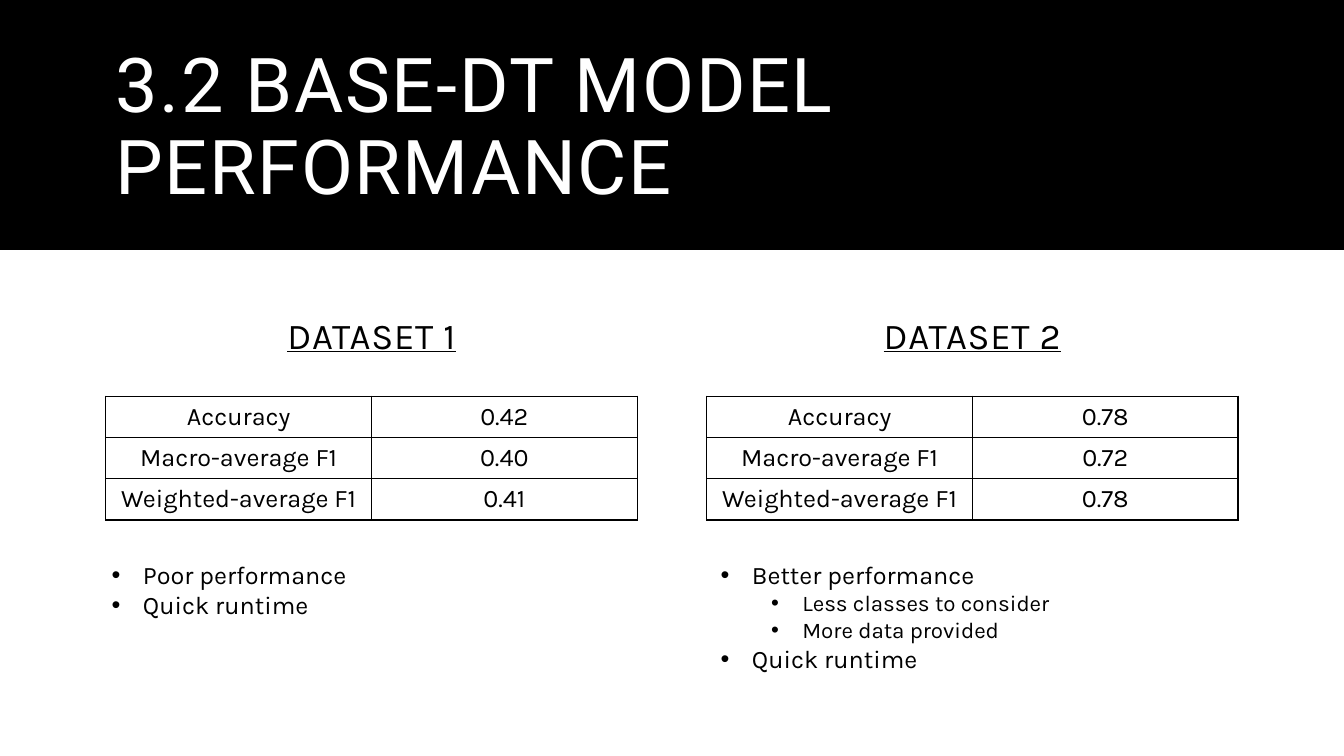
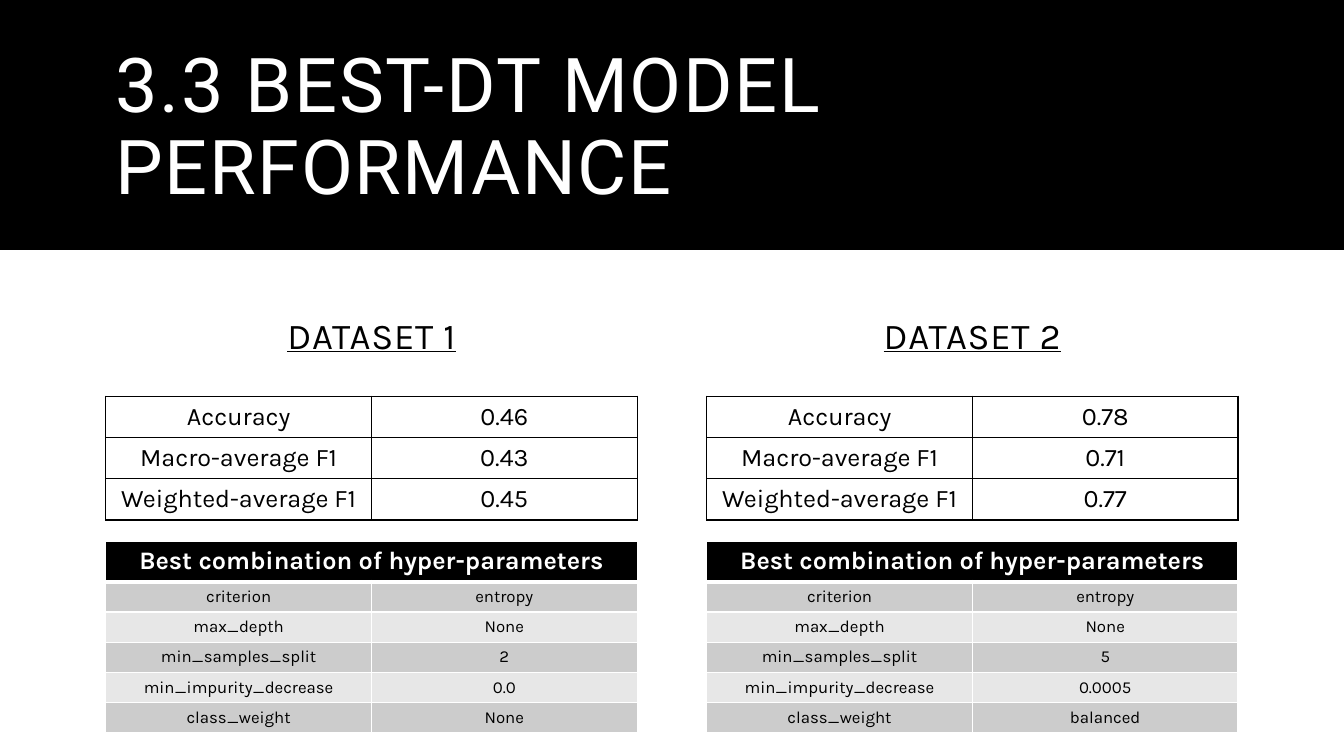
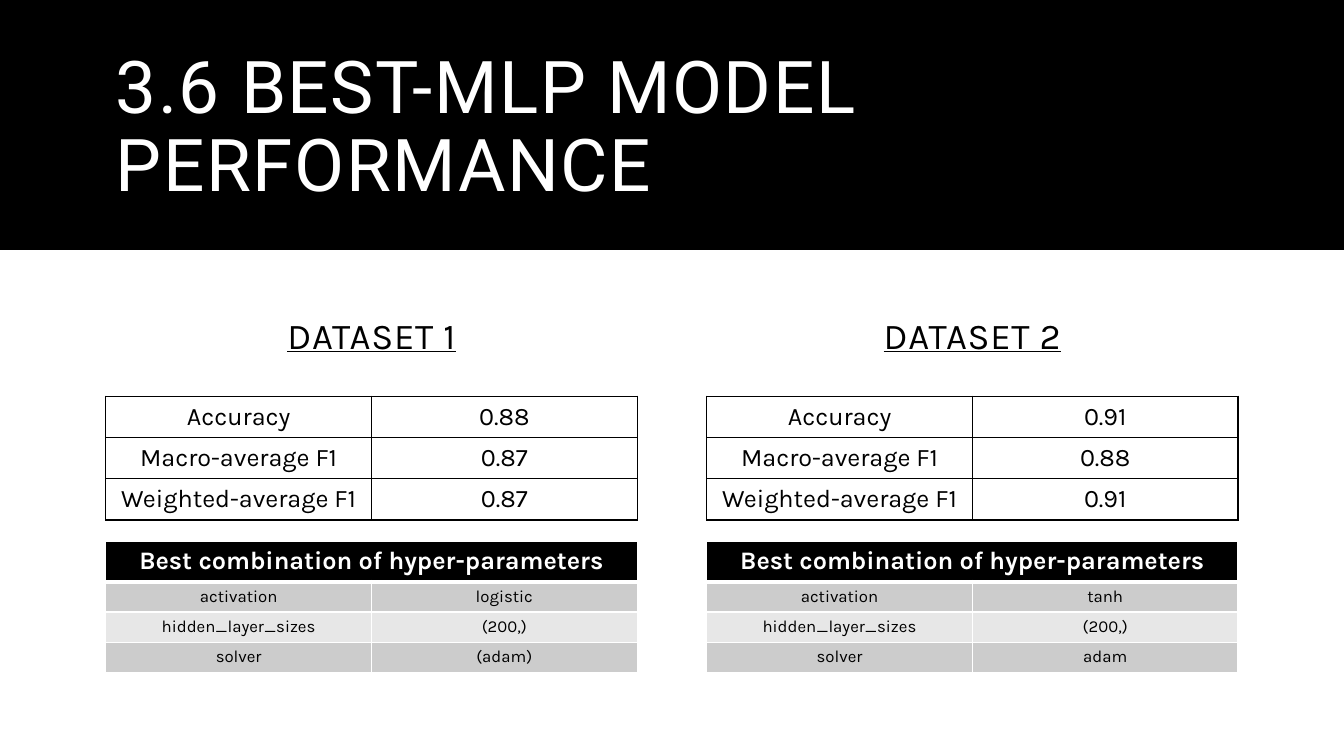
"""Build three slides that compare model performance on two datasets."""
import dataclasses

import pptx
import pptx.dml.color
import pptx.enum.shapes
import pptx.enum.text
import pptx.oxml
import pptx.oxml.ns
import pptx.util

Inches = pptx.util.Inches
Pt = pptx.util.Pt
PP_ALIGN = pptx.enum.text.PP_ALIGN
MSO_ANCHOR = pptx.enum.text.MSO_ANCHOR


@dataclasses.dataclass(frozen=True)
class Theme:
    black: str = "000000"
    white: str = "FFFFFF"
    stripes: tuple = ("CCCCCC", "E7E7E7")
    title_font: str = "Roboto"
    body_font: str = "Karla"
    heading_size: float = 26
    body_size: float = 18
    sub_size: float = 16
    small_size: float = 12


THEME = Theme()

METRICS = ["Accuracy", "Macro-average F1", "Weighted-average F1"]
DATASETS = ["DATASET 1", "DATASET 2"]
PARAMETERS_HEADING = "Best combination of hyper-parameters"

SLIDES = [
    {
        "title": "3.2 BASE-DT MODEL PERFORMANCE",
        "title_size": 54,
        "scores": [["0.42", "0.40", "0.41"], ["0.78", "0.72", "0.78"]],
        "remarks": [
            [(0, "Poor performance"), (0, "Quick runtime")],
            [
                (0, "Better performance"),
                (1, "Less classes to consider"),
                (1, "More data provided"),
                (0, "Quick runtime"),
            ],
        ],
    },
    {
        "title": "3.3 BEST-DT MODEL PERFORMANCE",
        "title_size": 54,
        "scores": [["0.46", "0.43", "0.45"], ["0.78", "0.71", "0.77"]],
        "parameters": ["criterion", "max_depth", "min_samples_split",
                       "min_impurity_decrease", "class_weight"],
        "settings": [["entropy", "None", "2", "0.0", "None"],
                     ["entropy", "None", "5", "0.0005", "balanced"]],
    },
    {
        "title": "3.6 BEST-MLP MODEL PERFORMANCE",
        "title_size": 52,
        "scores": [["0.88", "0.87", "0.87"], ["0.91", "0.88", "0.91"]],
        "parameters": ["activation", "hidden_layer_sizes", "solver"],
        "settings": [["logistic", "(200,)", "(adam)"], ["tanh", "(200,)", "adam"]],
    },
]

SLIDE_WIDTH, SLIDE_HEIGHT = 13.33, 7.5
BAND_HEIGHT = 2.48
COLUMN_LEFTS = [1.05, 7.01]
REMARK_LEFTS = [1.01, 7.05]
COLUMN_WIDTH = 5.27
CONTENT_WIDTH = COLUMN_LEFTS[1] + COLUMN_WIDTH - COLUMN_LEFTS[0]
METRIC_ROW, HEADER_ROW, PARAMETER_ROW = 0.41, 0.4, 0.29


def rgb(color):
    return pptx.dml.color.RGBColor.from_string(color)


def style(paragraph, size, color=THEME.black, font=THEME.body_font, bold=False,
          underline=False, spacing=0):
    for run in paragraph.runs:
        run.font.name = font
        run.font.size = Pt(size)
        run.font.color.rgb = rgb(color)
        run.font.bold = bold
        run.font.underline = underline
        if spacing:
            run.font._element.set("spc", str(round(spacing * 100)))


def add_text_frame(slide, left, top, width, height, anchor=MSO_ANCHOR.MIDDLE):
    box = slide.shapes.add_textbox(Inches(left), Inches(top), Inches(width), Inches(height))
    box.text_frame.word_wrap = True
    box.text_frame.vertical_anchor = anchor
    return box.text_frame


def add_title(slide, title, size):
    band = slide.shapes.add_shape(pptx.enum.shapes.MSO_SHAPE.RECTANGLE, 0, 0,
                                  Inches(SLIDE_WIDTH), Inches(BAND_HEIGHT))
    band.shadow.inherit = False
    band.fill.solid()
    band.fill.fore_color.rgb = rgb(THEME.black)
    band.line.fill.background()
    frame = add_text_frame(slide, COLUMN_LEFTS[0], 0.35, CONTENT_WIDTH, 1.86)
    frame.text = title
    frame.paragraphs[0].line_spacing = 0.9
    style(frame.paragraphs[0], size, THEME.white, THEME.title_font, spacing=1.2)


def add_heading(slide, left, dataset):
    frame = add_text_frame(slide, left, 2.83, COLUMN_WIDTH, 0.98)
    frame.text = dataset
    heading = frame.paragraphs[0]
    heading.alignment = PP_ALIGN.CENTER
    heading.line_spacing = 1.01
    heading.space_before = heading.space_after = Pt(7)
    style(heading, THEME.heading_size, underline=True, spacing=0.5)


def set_borders(cell, color, top=1, bottom=1):
    properties = cell._tc.get_or_add_tcPr()
    for side, width in (("L", 1), ("R", 1), ("T", top), ("B", bottom)):
        properties.append(pptx.oxml.parse_xml(
            f'<a:ln{side} {pptx.oxml.ns.nsdecls("a")} w="{Pt(width)}">'
            f'<a:solidFill><a:srgbClr val="{color}"/></a:solidFill></a:ln{side}>'))


def fill_cell(cell, text, size, fill=None, color=THEME.black, bold=False):
    cell.text = text
    cell.vertical_anchor = MSO_ANCHOR.MIDDLE
    cell.text_frame.paragraphs[0].alignment = PP_ALIGN.CENTER
    style(cell.text_frame.paragraphs[0], size, color, bold=bold)
    if fill:
        cell.fill.solid()
        cell.fill.fore_color.rgb = rgb(fill)
    else:
        cell.fill.background()


def add_grid(slide, left, top, row_heights):
    table = slide.shapes.add_table(len(row_heights), 2, Inches(left), Inches(top),
                                   Inches(COLUMN_WIDTH), Inches(sum(row_heights))).table
    table.first_row = table.horz_banding = False
    for row, height in zip(table.rows, row_heights):
        row.height = Inches(height)
    return table


def add_metrics(slide, left, scores):
    table = add_grid(slide, left, 3.93, [METRIC_ROW] * len(METRICS))
    for row, pair in enumerate(zip(METRICS, scores)):
        for column, text in enumerate(pair):
            cell = table.cell(row, column)
            set_borders(cell, THEME.black)
            fill_cell(cell, text, THEME.body_size)


def add_parameters(slide, left, parameters, settings):
    table = add_grid(slide, left, 5.37, [HEADER_ROW] + [PARAMETER_ROW] * len(parameters))
    header = table.cell(0, 0)
    header.merge(table.cell(0, 1))
    for column in range(2):
        set_borders(table.cell(0, column), THEME.white, bottom=3)
    fill_cell(header, PARAMETERS_HEADING, THEME.body_size, THEME.black, THEME.white, bold=True)
    for row, pair in enumerate(zip(parameters, settings), start=1):
        for column, text in enumerate(pair):
            cell = table.cell(row, column)
            set_borders(cell, THEME.white, top=3 if row == 1 else 1)
            fill_cell(cell, text, THEME.small_size, THEME.stripes[(row - 1) % 2])


def add_remarks(slide, left, remarks):
    frame = add_text_frame(slide, left, 5.5, COLUMN_WIDTH, 1.01, MSO_ANCHOR.TOP)
    frame.text = "\n".join(text for _, text in remarks)
    for paragraph, (level, _) in zip(frame.paragraphs, remarks):
        paragraph.level = level
        properties = paragraph._p.get_or_add_pPr()
        properties.set("marL", str(Inches(0.31 + 0.5 * level)))
        properties.set("indent", str(Inches(-0.31)))
        for bullet in ('buFont {} typeface="Arial"', 'buChar {} char="•"'):
            properties.append(pptx.oxml.parse_xml(
                f'<a:{bullet.format(pptx.oxml.ns.nsdecls("a"))}/>'))
        style(paragraph, THEME.sub_size if level else THEME.body_size)


def main():
    deck = pptx.Presentation()
    deck.slide_width, deck.slide_height = Inches(SLIDE_WIDTH), Inches(SLIDE_HEIGHT)
    for content in SLIDES:
        slide = deck.slides.add_slide(deck.slide_layouts[6])
        add_title(slide, content["title"], content["title_size"])
        for side, (left, dataset) in enumerate(zip(COLUMN_LEFTS, DATASETS)):
            add_heading(slide, left, dataset)
            add_metrics(slide, left, content["scores"][side])
            if "parameters" in content:
                add_parameters(slide, left, content["parameters"], content["settings"][side])
            else:
                add_remarks(slide, REMARK_LEFTS[side], content["remarks"][side])
    deck.save("out.pptx")


if __name__ == "__main__":
    main()
